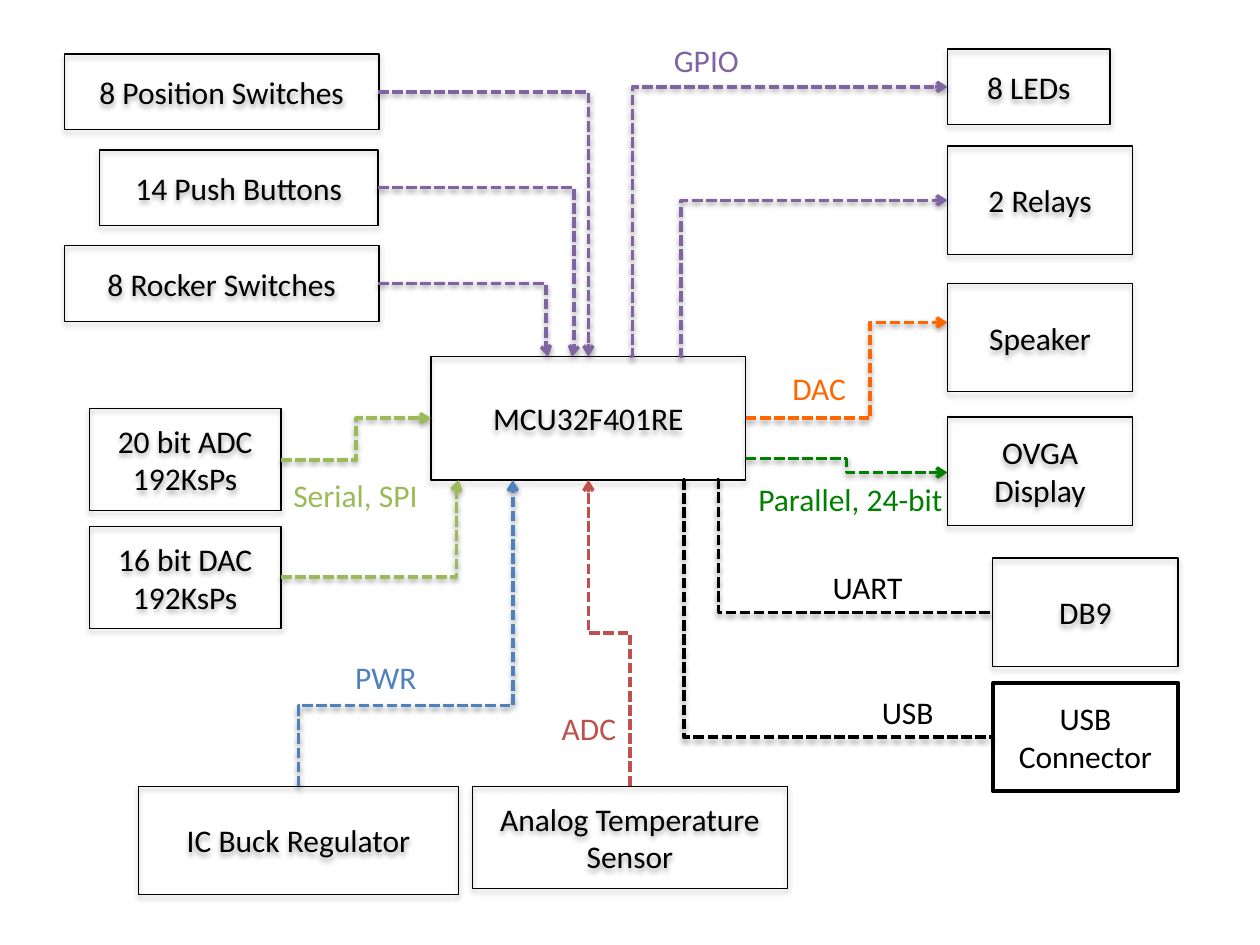
"""Block diagram of a microcontroller board and its peripherals."""
from lxml.etree import SubElement
from pptx import Presentation
from pptx.dml.color import RGBColor
from pptx.enum.dml import MSO_LINE
from pptx.enum.shapes import MSO_CONNECTOR, MSO_SHAPE
from pptx.enum.text import MSO_ANCHOR, MSO_AUTO_SIZE, PP_ALIGN
from pptx.oxml.ns import qn
from pptx.util import Inches, Pt

COLORS = {
    "black": "000000", "white": "FFFFFF", "gpio": "8064A2", "serial": "9BBB59",
    "power": "4F81BD", "adc": "C0504D", "dac": "FF6600", "parallel": "008000",
}


def write(frame, words, color):
    run = frame.paragraphs[0].add_run()
    run.text = words
    run.font.name = "Calibri"
    run.font.size = Pt(18)
    run.font.color.rgb = RGBColor.from_string(COLORS[color])


def cast_shadow(effects, distance, opacity):
    shadow = SubElement(effects, qn("a:outerShdw"), blurRad="40000",
                        dist=str(distance), dir="5400000", rotWithShape="0")
    black = SubElement(shadow, qn("a:srgbClr"), val=COLORS["black"])
    SubElement(black, qn("a:alpha"), val=str(opacity * 1000))


prs = Presentation()
prs.slide_width, prs.slide_height = Inches(10), Inches(7.5)
slide = prs.slides.add_slide(prs.slide_layouts[6])

blocks = [
    ("14 Push Buttons", 0.79, 1.19, 2.21, 0.6),
    ("MCU32F401RE", 3.42, 2.83, 2.5, 0.98),
    ("Analog Temperature Sensor", 3.75, 6.24, 2.5, 0.81),
    ("8 LEDs", 7.52, 0.39, 1.29, 0.6),
    ("OVGA Display", 7.52, 3.31, 1.47, 0.86),
    ("Speaker", 7.52, 2.25, 1.47, 0.86),
    ("20 bit ADC 192KsPs", 0.71, 3.24, 1.52, 0.81),
    ("16 bit DAC 192KsPs", 0.71, 4.18, 1.52, 0.81),
    ("2 Relays", 7.52, 1.16, 1.47, 0.86),
    ("8 Position Switches", 0.51, 0.43, 2.5, 0.6),
    ("8 Rocker Switches", 0.51, 1.95, 2.5, 0.6),
    ("IC Buck Regulator", 1.1, 6.24, 2.54, 0.86),
    ("USB Connector", 7.88, 5.42, 1.47, 0.86),
    ("DB9", 7.88, 4.43, 1.47, 0.86),
]
for name, *place in blocks:
    block = slide.shapes.add_shape(MSO_SHAPE.RECTANGLE, *map(Inches, place))
    block.shadow.inherit = False
    block.line.color.rgb = RGBColor.from_string(COLORS["black"])
    if name == "USB Connector":
        block.fill.solid()
        block.fill.fore_color.rgb = RGBColor.from_string(COLORS["white"])
        block.line.width = Pt(2)
    else:
        block.fill.background()
        block.line.width = Pt(0.75)
        cast_shadow(block.element.spPr.find(qn("a:effectLst")), 23000, 35)
    frame = block.text_frame
    frame.word_wrap = True
    frame.vertical_anchor = MSO_ANCHOR.MIDDLE
    frame.paragraphs[0].alignment = PP_ALIGN.CENTER
    write(frame, name, "black")

# Bend is the share of the run before the first turn; None makes a single corner.
links = [
    ("gpio", 5, 2.83, 7.52, 0.69, 0.008),
    ("gpio", 3, 0.73, 4.67, 2.83, None),
    ("gpio", 3, 1.49, 4.54, 2.83, 1.01),
    ("gpio", 3, 2.25, 4.35, 2.83, 0.987),
    ("serial", 2.23, 3.65, 3.42, 3.32, 0.5),
    ("serial", 2.23, 4.58, 3.64, 3.81, 0.987),
    ("power", 2.37, 6.24, 4.07, 3.81, 0.264),
    ("adc", 5, 6.24, 4.67, 3.81, 0.5),
    ("dac", 5.92, 3.32, 7.52, 2.56, 0.616),
    ("black", 5.69, 3.81, 7.88, 4.86, 0.006),
    ("black", 5.42, 3.81, 7.88, 5.85, 0.003),
    ("gpio", 5.42, 2.83, 7.52, 1.59, -0.007),
    ("parallel", 5.92, 3.64, 7.52, 3.75, 0.5),
]
for signal, x1, y1, x2, y2, bend in links:
    upright = signal in ("power", "adc")
    if upright:
        cx, cy, rise, shift = (x1 + x2) / 2, (y1 + y2) / 2, y1 - y2, x2 - x1
        x1, x2 = cx - rise / 2, cx + rise / 2
        y1, y2 = cy - shift / 2, cy + shift / 2
    link = slide.shapes.add_connector(
        MSO_CONNECTOR.ELBOW, *map(Inches, (x1, y1, x2, y2)))
    link.line.color.rgb = RGBColor.from_string(COLORS[signal])
    link.line.width = Pt(2)
    link.line.dash_style = MSO_LINE.SQUARE_DOT
    props = link._element.spPr
    if upright:
        props.find(qn("a:xfrm")).set("rot", str(270 * 60000))
    outline = props.find(qn("a:prstGeom"))
    if bend is None:
        outline.set("prst", "bentConnector2")
    else:
        SubElement(outline.find(qn("a:avLst")), qn("a:gd"), name="adj1",
                   fmla=f"val {round(bend * 100000)}")
    if signal != "black":
        SubElement(props.find(qn("a:ln")), qn("a:tailEnd"), type="arrow")
    effects = SubElement(props, qn("a:effectLst"))
    if signal != "adc":
        cast_shadow(effects, 20000, 38)

labels = [
    ("GPIO", "gpio", 5.25, 0.28, 0.72),
    ("Serial, SPI", "serial", 2.23, 3.73, 1.2),
    ("PWR", "power", 2.72, 5.17, 0.69),
    ("ADC", "adc", 4.36, 5.58, 0.64),
    ("USB", "black", 6.9, 5.45, 0.62),
    ("UART", "black", 6.51, 4.46, 0.78),
    ("DAC", "dac", 6.19, 2.88, 0.64),
    ("Parallel, 24-bit", "parallel", 5.92, 3.76, 1.69),
]
for words, signal, left, top, width in labels:
    label = slide.shapes.add_textbox(*map(Inches, (left, top, width, 0.4)))
    label.text_frame.word_wrap = False
    label.text_frame.auto_size = MSO_AUTO_SIZE.SHAPE_TO_FIT_TEXT
    write(label.text_frame, words, signal)

prs.save("out.pptx")
